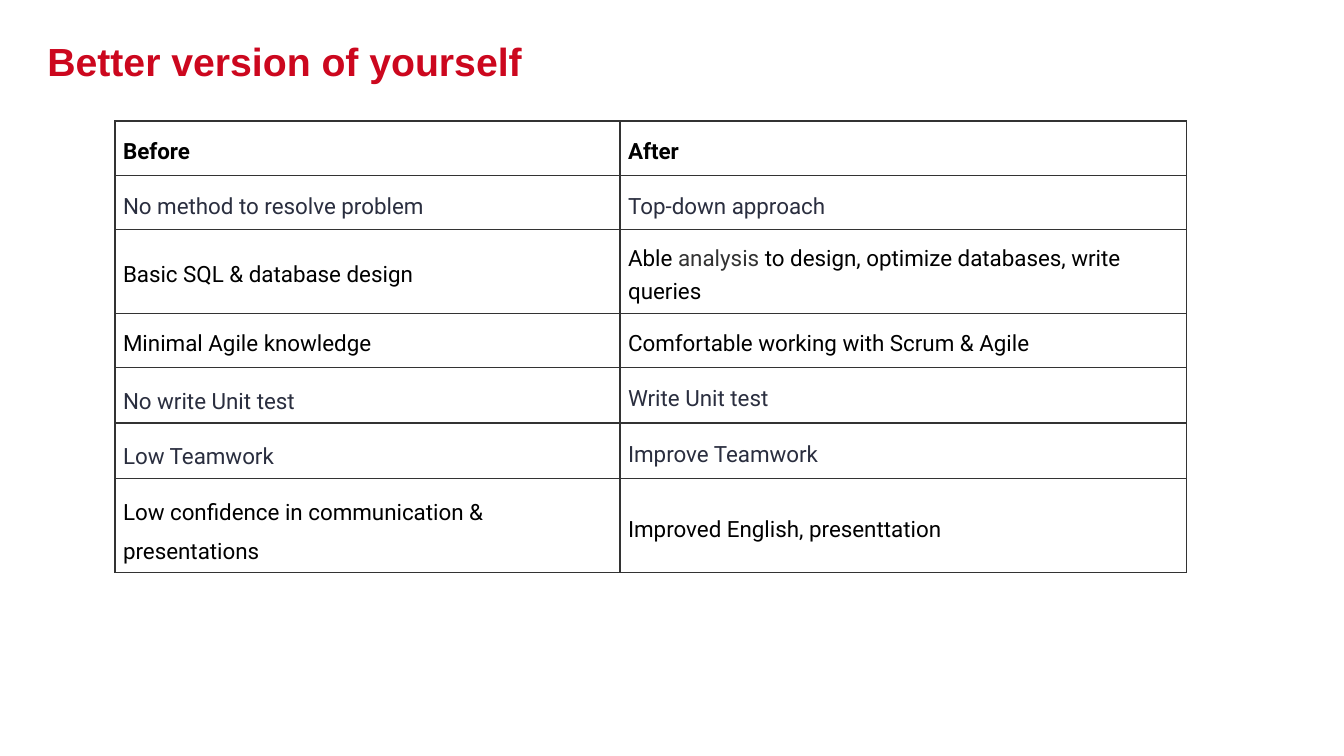
import pptx
import pptx.dml.color
import pptx.enum.text
import pptx.oxml
import pptx.oxml.ns
import pptx.util
from pptx.util import Inches

RED = pptx.dml.color.RGBColor(0xCC, 0x07, 0x1E)
BLACK = pptx.dml.color.RGBColor(0, 0, 0)
NAVY = pptx.dml.color.RGBColor(0x2A, 0x2E, 0x3F)
GRAY = pptx.dml.color.RGBColor(0x33, 0x33, 0x33)
WHITE = pptx.dml.color.RGBColor(0xFF, 0xFF, 0xFF)
MIDDLE = pptx.enum.text.MSO_ANCHOR.MIDDLE


def style_run(run, font_name, size, color, bold=False):
    run.font.name = font_name
    run.font.size = pptx.util.Pt(size)
    run.font.color.rgb = color
    run.font.bold = bold


def add_borders(cell, color, width):
    properties = cell._tc.get_or_add_tcPr()
    for index, side in enumerate(("lnL", "lnR", "lnT", "lnB")):
        border = pptx.oxml.parse_xml(
            f'<a:{side} {pptx.oxml.ns.nsdecls("a")} w="{pptx.util.Pt(width)}">'
            f'<a:solidFill><a:srgbClr val="{color}"/></a:solidFill></a:{side}>')
        properties.insert(index, border)


presentation = pptx.Presentation()
presentation.slide_width = Inches(13.33)
presentation.slide_height = Inches(7.5)
slide = presentation.slides.add_slide(presentation.slide_layouts[6])

# Title
title = slide.shapes.add_textbox(Inches(0.47), 0, Inches(10.63), Inches(1.2)).text_frame
title.word_wrap = True
title.vertical_anchor = MIDDLE
title.margin_left = title.margin_right = title.margin_top = title.margin_bottom = 0
title.text = "Better version of yourself"
style_run(title.paragraphs[0].runs[0], "Arial", 28, RED, bold=True)

# Before and after: text colour, line spacing of the left column, the two cells
comparison = [
    (BLACK, 24, "Before", "After"),
    (NAVY, 24, "No method to resolve problem", "Top-down approach"),
    (BLACK, 24, "Basic SQL & database design",
     "Able |analysis| to design, optimize databases, write queries"),
    (BLACK, 24, "Minimal Agile knowledge", "Comfortable working with Scrum & Agile"),
    (NAVY, 28, "No write Unit test", "Write Unit test"),
    (NAVY, 28, "Low Teamwork", "Improve Teamwork"),
    (BLACK, 28, "Low confidence in communication & presentations",
     "Improved English, presenttation"),
]
table = slide.shapes.add_table(len(comparison), 2, Inches(1.14), Inches(1.2),
                               Inches(10.63), Inches(3.78)).table
table.horz_banding = False
table.columns[0].width = Inches(5.01)
table.columns[1].width = Inches(5.62)

for row, (color, before_spacing, before, after) in enumerate(comparison):
    table.rows[row].height = Inches(0.54)
    for column, (text, spacing) in enumerate([(before, before_spacing), (after, 24)]):
        cell = table.cell(row, column)
        cell.fill.solid()
        cell.fill.fore_color.rgb = WHITE
        add_borders(cell, GRAY, 1)
        cell.vertical_anchor = MIDDLE
        cell.margin_left = cell.margin_right = Inches(0.08)
        cell.margin_top = cell.margin_bottom = Inches(0.08)
        paragraph = cell.text_frame.paragraphs[0]
        paragraph.line_spacing = pptx.util.Pt(spacing)
        # Bars enclose the gray words
        for part, words in enumerate(text.split("|")):
            run = paragraph.add_run()
            run.text = words
            style_run(run, "Roboto", 16, GRAY if part % 2 else color, bold=row == 0)

presentation.save("out.pptx")
